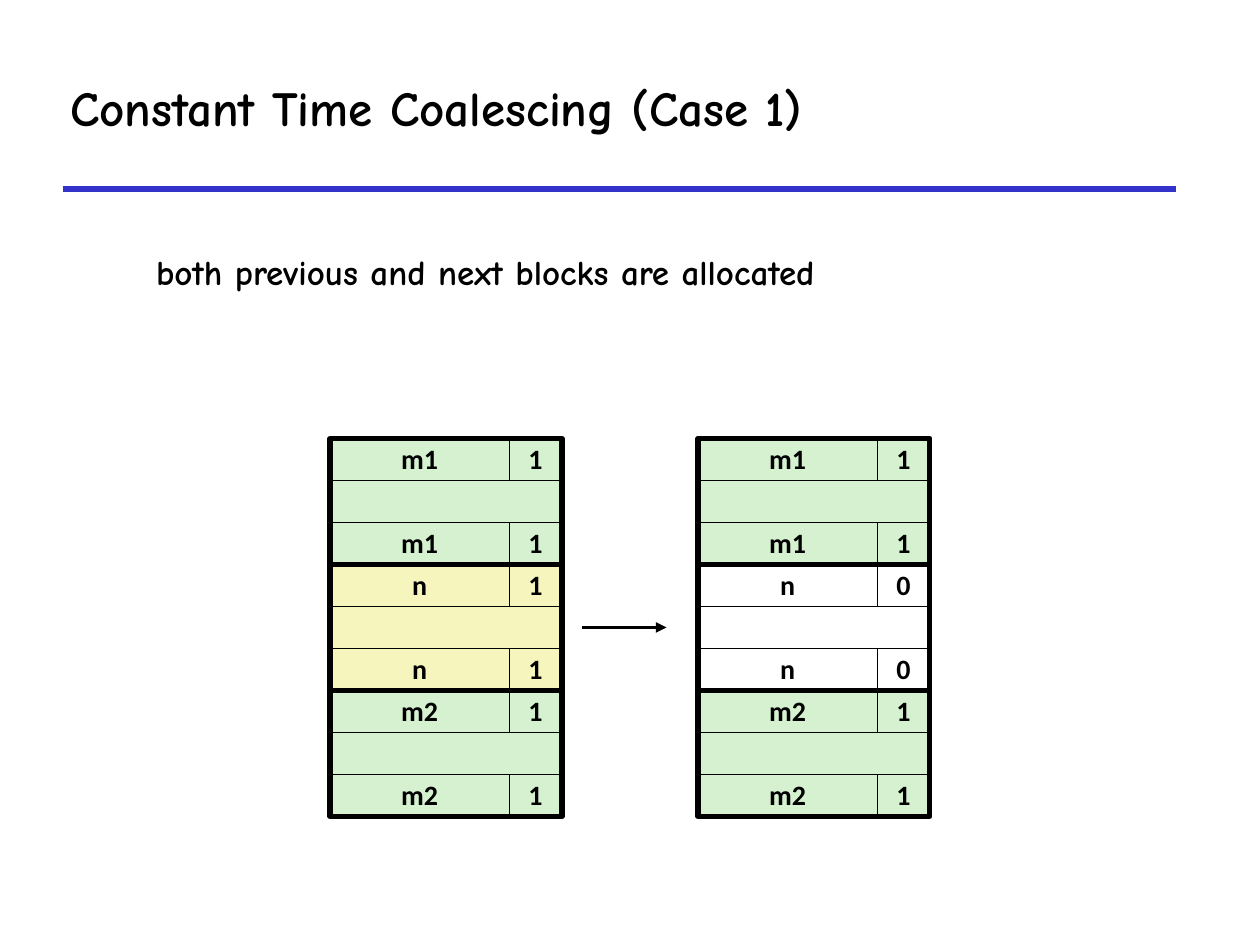
import dataclasses
import typing

import pptx
import pptx.dml.color
import pptx.enum.shapes
import pptx.enum.text
import pptx.oxml
import pptx.oxml.ns
import pptx.util

RGBColor = pptx.dml.color.RGBColor
Inches = pptx.util.Inches
Pt = pptx.util.Pt

BLACK = RGBColor(0x00, 0x00, 0x00)
WHITE = RGBColor(0xFF, 0xFF, 0xFF)
BLUE = RGBColor(0x33, 0x33, 0xCC)
GREEN = RGBColor(0xD5, 0xF1, 0xCF)
YELLOW = RGBColor(0xF6, 0xF5, 0xBD)

# Memory grid, in inches: each block has a header, a body and a footer row
TOP = 3.48
ROW = 1 / 3
SIZE_W = 1.42
FLAG_W = 0.42
FULL_W = SIZE_W + FLAG_W
ROWS = 3


@dataclasses.dataclass(frozen=True)
class Block:
    name: str
    flag: str
    fill: RGBColor


@dataclasses.dataclass(frozen=True)
class Heap:
    left: float
    blocks: tuple[Block, ...]


PREV = Block("m1", "1", GREEN)
NEXT = Block("m2", "1", GREEN)
HEAPS = (
    Heap(2.62, (PREV, Block("n", "1", YELLOW), NEXT)),
    Heap(5.54, (PREV, Block("n", "0", WHITE), NEXT)),
)


def set_text(frame: typing.Any, text: str, font: str, size: float) -> None:
    frame.text = text
    frame.vertical_anchor = pptx.enum.text.MSO_ANCHOR.MIDDLE
    for run in frame.paragraphs[0].runs:
        run.font.name = font
        run.font.size = Pt(size)
        run.font.bold = True
        run.font.color.rgb = BLACK


def add_label(slide: typing.Any, box: tuple[float, ...], text: str, size: float) -> None:
    label = slide.shapes.add_textbox(*map(Inches, box))
    label.text_frame.word_wrap = True
    set_text(label.text_frame, text, "Comic Neue", size)


def add_cell(slide: typing.Any, left: float, row: int, width: float, rows: int = 1,
             fill: RGBColor | None = None, text: str = "", line: float = 0.25) -> None:
    cell = slide.shapes.add_shape(
        pptx.enum.shapes.MSO_SHAPE.RECTANGLE, Inches(left), Inches(TOP + row * ROW),
        Inches(width), Inches(rows * ROW))
    cell.shadow.inherit = False
    if fill is None:
        cell.fill.background()
    else:
        cell.fill.solid()
        cell.fill.fore_color.rgb = fill
    cell.line.color.rgb = BLACK
    cell.line.width = Pt(line)
    if text:
        cell.text_frame.word_wrap = False
        set_text(cell.text_frame, text, "Calibri", 16)
        par = cell.text_frame.paragraphs[0]
        par.alignment = pptx.enum.text.PP_ALIGN.CENTER
        par.line_spacing = 0.98


def add_block(slide: typing.Any, left: float, row: int, block: Block) -> None:
    # Header and footer hold the size and the flag; the body is empty
    for tag in (row, row + ROWS - 1):
        add_cell(slide, left, tag, SIZE_W, fill=block.fill, text=block.name)
        add_cell(slide, left + SIZE_W, tag, FLAG_W, fill=block.fill, text=block.flag)
    add_cell(slide, left, row + 1, FULL_W, fill=block.fill)
    add_cell(slide, left, row, FULL_W, rows=ROWS, line=3)


def add_line(slide: typing.Any, start: float, end: float, y: float,
             color: RGBColor, width: float, arrow: bool = False) -> None:
    line = slide.shapes.add_connector(
        pptx.enum.shapes.MSO_CONNECTOR.STRAIGHT,
        Inches(start), Inches(y), Inches(end), Inches(y))
    line.line.color.rgb = color
    line.line.width = Pt(width)
    if arrow:
        head = pptx.oxml.parse_xml(
            f'<a:tailEnd {pptx.oxml.ns.nsdecls("a")} type="triangle"/>')
        line.line._get_or_add_ln().append(head)
    line._element.spPr.append(
        pptx.oxml.parse_xml(f'<a:effectLst {pptx.oxml.ns.nsdecls("a")}/>'))


def main() -> None:
    deck = pptx.Presentation()
    deck.slide_width = Inches(10)
    deck.slide_height = Inches(7.5)
    slide = deck.slides.add_slide(deck.slide_layouts[6])

    # Title and rule
    add_line(slide, 0.5, 9.33, 1.5, BLUE, 3)
    add_label(slide, (0.46, 0.53, 9.08, 0.63), "Constant Time Coalescing (Case 1)", 28)

    # Heap before and after the free
    for heap in HEAPS:
        for index, block in enumerate(heap.blocks):
            add_block(slide, heap.left, index * ROWS, block)

    # Step arrow, level with the middle block
    add_line(slide, 4.62, 5.29, TOP + 4.5 * ROW, BLACK, 2, arrow=True)

    # Case note
    add_label(slide, (1.14, 1.94, 6.11, 0.43),
              "both previous and next blocks are allocated", 20)

    deck.save("out.pptx")


if __name__ == "__main__":
    main()
